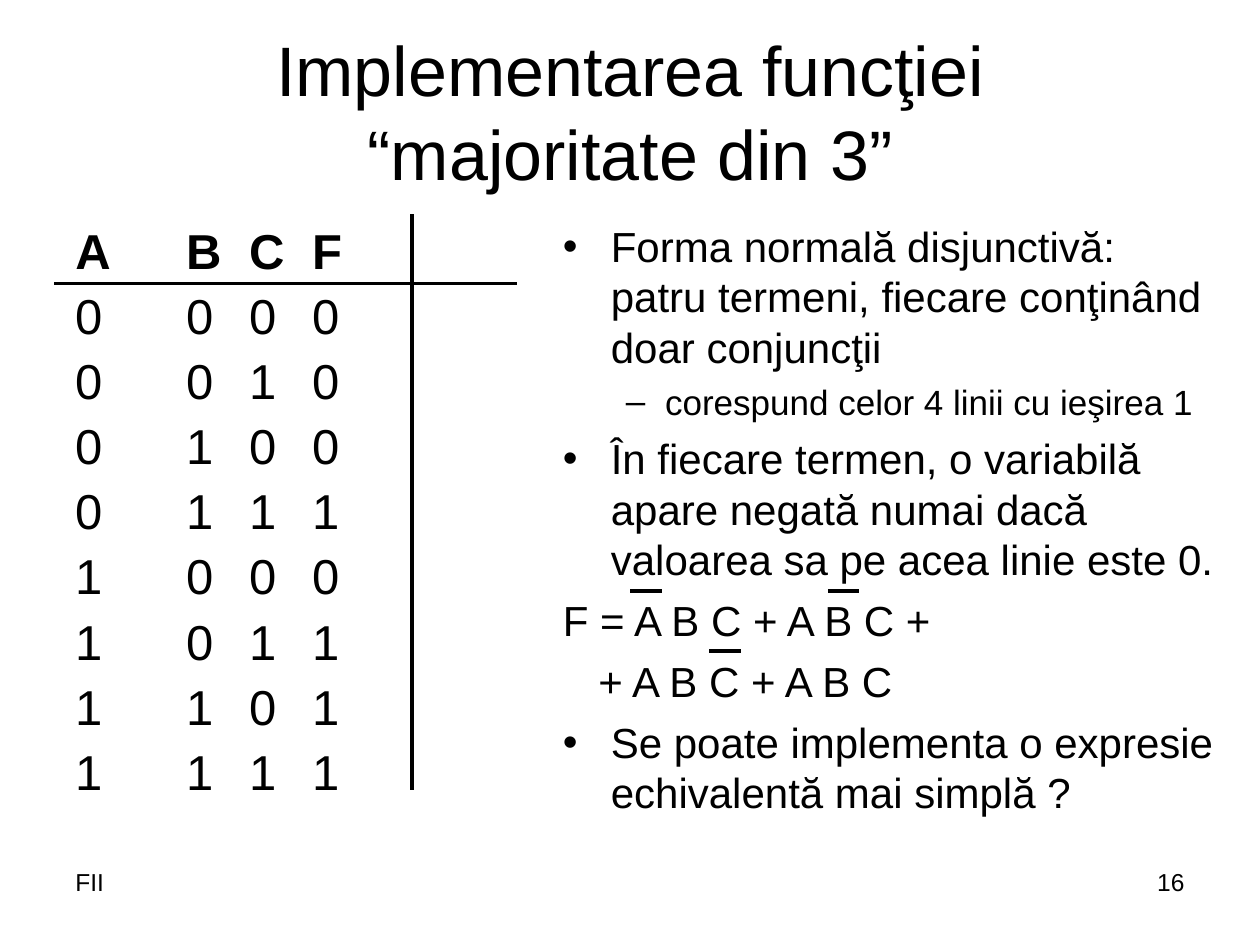
import itertools
import pptx
import pptx.util
import pptx.dml.color
import pptx.enum.text
import pptx.oxml
import pptx.oxml.ns

Inches, Pt = pptx.util.Inches, pptx.util.Pt
Align = pptx.enum.text.PP_ALIGN
Anchor = pptx.enum.text.MSO_ANCHOR
NS = pptx.oxml.ns.nsdecls("a")
INK = pptx.dml.color.RGBColor.from_string("000000")


def write(frame, items):
    """Fill a frame with (text, font values, paragraph values) items."""
    box = {"word_wrap": True, "auto_size": pptx.enum.text.MSO_AUTO_SIZE.NONE}
    for name, value in box.items():
        setattr(frame, name, value)
    for i, (text, font, form) in enumerate(items):
        para = frame.add_paragraph() if i else frame.paragraphs[0]
        para.text = text
        for name, value in form.items():
            setattr(para, name, value)
        for run in para.runs:
            run.font.color.rgb = INK
            for name, value in {"name": "Arial", **font}.items():
                setattr(run.font, name, value)


def indent(para, left, hang, *parts):
    """Set the indents, then add bullet or tab elements in order."""
    props = para._p.get_or_add_pPr()
    props.set("marL", str(Inches(left)))
    props.set("indent", str(Inches(hang)))
    for part in parts:
        props.append(pptx.oxml.parse_xml(part))


deck = pptx.Presentation()
deck.slide_width, deck.slide_height = Inches(10), Inches(7.5)
slide = deck.slides.add_slide(deck.slide_layouts[5])
shapes = slide.shapes

# Title
title = shapes.title
place = {"left": 0.5, "top": 0.3, "width": 9, "height": 1.16}
for name, value in place.items():
    setattr(title, name, Inches(value))
title.text_frame.vertical_anchor = Anchor.MIDDLE
write(title.text_frame, [("Implementarea funcţiei\v“majoritate din 3”",
                          {"size": Pt(40)}, {"alignment": Align.CENTER})])

# Truth table, set with tab stops
rows = [("A\t\tB\tC\tF", True)]
for a, b, c in itertools.product((0, 1), repeat=3):
    rows.append((f"{a}\t\t{b}\t{c}\t{int(a + b + c >= 2)}", False))
truth = shapes.add_textbox(Inches(0.5), Inches(1.75), Inches(4.34), Inches(4.95))
form = {"line_spacing": 0.9, "space_before": Pt(7)}
write(truth.text_frame,
      [(text, {"size": Pt(28), "bold": bold}, form) for text, bold in rows])
stops = "".join(f'<a:tab pos="{Inches(n)}" algn="l"/>' for n in range(8))
for para in truth.text_frame.paragraphs:
    indent(para, 0.38, -0.38, f"<a:tabLst {NS}>{stops}</a:tabLst>")

# Notes on the normal form: text, size, space before, left, hang, bullet
notes = [
    ("Forma normală disjunctivă: patru termeni, fiecare conţinând doar conjuncţii",
     24, 6, 0.38, -0.38, "•"),
    ("corespund celor 4 linii cu ieşirea 1", 20, 5, 0.81, -0.31, "–"),
    ("În fiecare termen, o variabilă apare negată numai dacă "
     "valoarea sa pe acea linie este 0.", 24, 6, 0.38, -0.38, "•"),
    ("F = A B C + A B C +", 24, 6, 0.38, -0.38, None),
    ("+ A B C + A B C", 24, 6, 0.28, 0, None),
    ("Se poate implementa o expresie echivalentă mai simplă ?",
     24, 6, 0.38, -0.38, "•"),
]
body = shapes.add_textbox(Inches(4.37), Inches(1.7), Inches(5.43), Inches(5))
write(body.text_frame, [(text, {"size": Pt(size)}, {"space_before": Pt(gap)})
                        for text, size, gap, *rest in notes])
for para, (*rest, left, hang, mark) in zip(body.text_frame.paragraphs, notes):
    if mark:
        indent(para, left, hang, f'<a:buFont {NS} typeface="Arial"/>',
               f'<a:buChar {NS} char="{mark}"/>')
    else:
        indent(para, left, hang, f"<a:buNone {NS}/>")

# Table rules, then the negation bars
bars = [(x, y, x + 0.25, y) for x, y in ((5, 4.69), (6.57, 4.69), (5.63, 5.17))]
for ends in [(0.43, 2.25, 4.1, 2.25), (3.27, 1.7, 3.27, 6.27), *bars]:
    line = shapes.add_connector(pptx.enum.shapes.MSO_CONNECTOR.STRAIGHT,
                                *map(Inches, ends))
    line.line.color.rgb = INK
    line.line.width = Pt(2.25)
    line._element.spPr.append(pptx.oxml.parse_xml(f"<a:effectLst {NS}/>"))

# Footer and slide number
for left, text, side in ((0.5, "FII", Align.LEFT), (7.17, "16", Align.RIGHT)):
    foot = shapes.add_textbox(Inches(left), Inches(6.83), Inches(2.33), Inches(0.52))
    write(foot.text_frame, [(text, {"size": Pt(14)}, {"alignment": side})])

deck.save("out.pptx")
